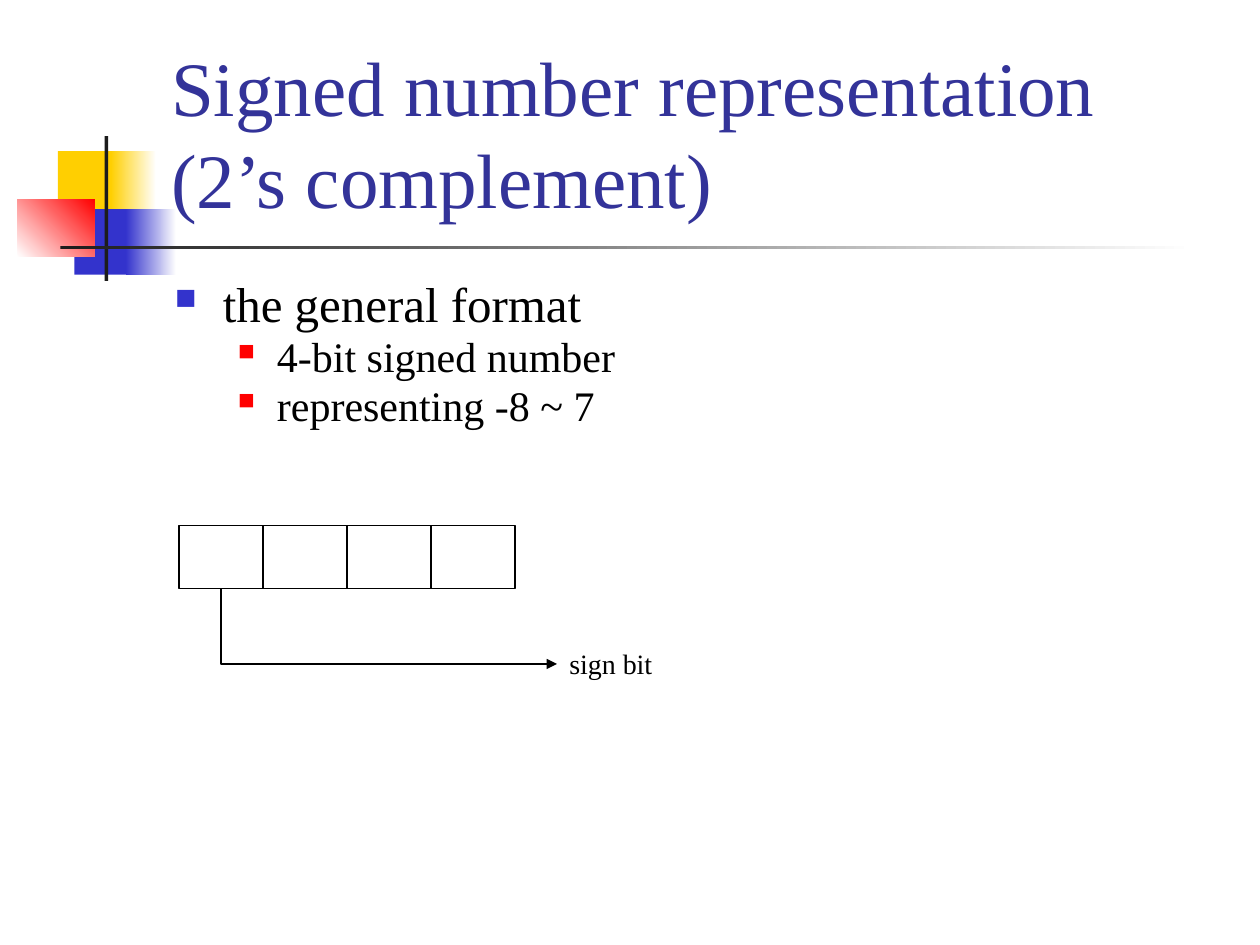
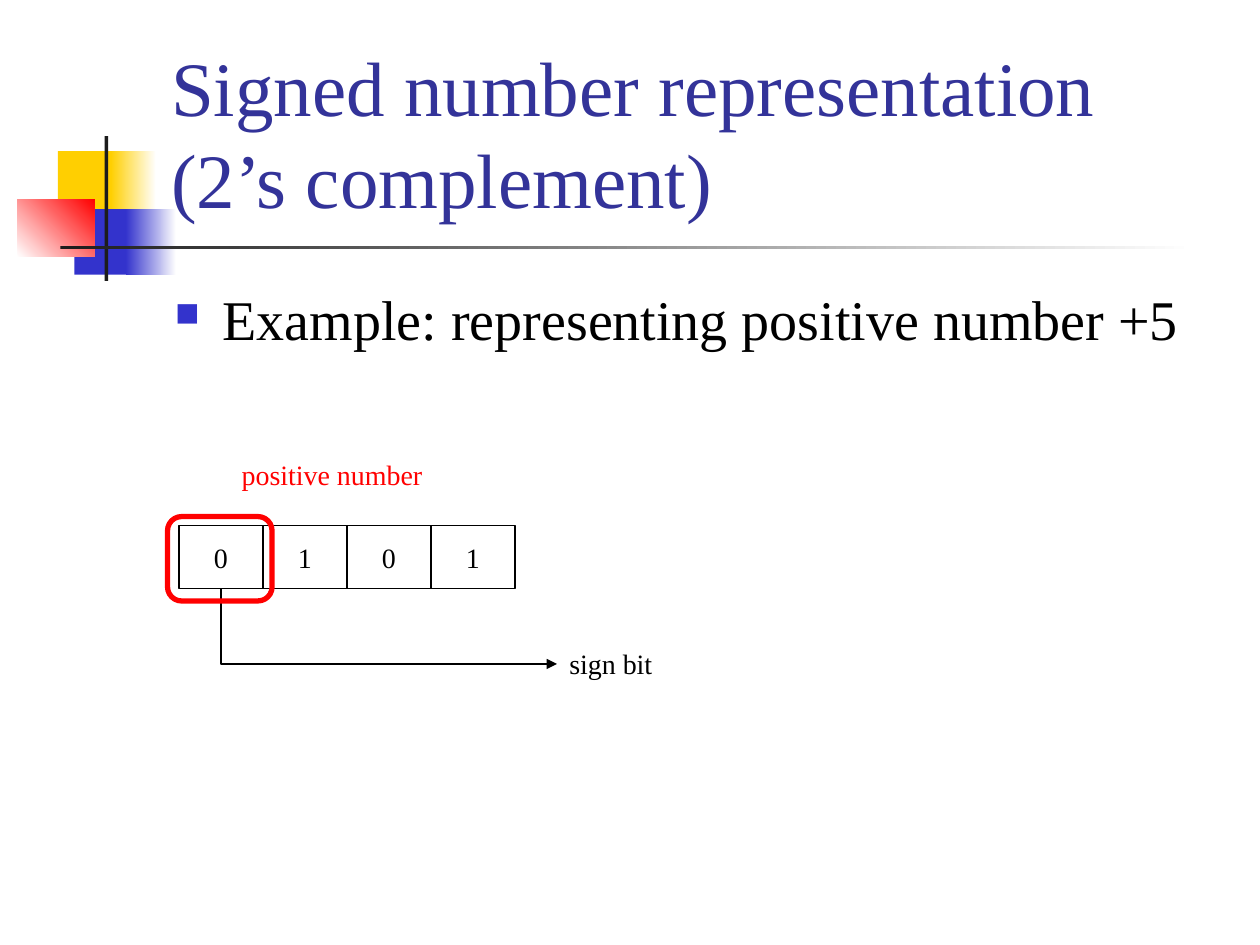
"""Builds two slides on signed numbers in two's complement."""
import pptx
import pptx.util
import pptx.dml.color
import pptx.enum.shapes
import pptx.enum.text
import pptx.oxml.ns
import lxml.etree

Inches, Pt = pptx.util.Inches, pptx.util.Pt
KIND = pptx.enum.shapes.MSO_SHAPE
ANCHOR = pptx.enum.text.MSO_ANCHOR
ALIGN = pptx.enum.text.PP_ALIGN
qn = pptx.oxml.ns.qn

FONT = "Times New Roman"
HUES = {
    "title": "333399", "blue": "3333CC", "gold": "FFCF01", "red": "FF0000",
    "dark": "1C1C1C", "black": "000000", "white": "FFFFFF",
}
TITLE = "Signed number representation (2\u2019s complement)"
SLIDES = [
    {
        "body": [(0, 28, "the general format"),
                 (1, 24, "4-bit signed number"),
                 (1, 24, "representing -8 ~ 7")],
        "lead": 0.8, "bits": [""] * 4, "note": None,
    },
    {
        "body": [(0, 32, "Example: representing positive number +5")],
        "lead": 1.0, "bits": list("0101"), "note": "positive number",
    },
]
DECOR = [
    ((0.46, 1.2, 0.48, 0.52), ["gold"], 0),
    ((0.88, 1.2, 0.36, 0.52), ["gold", "white"], 0),
    ((0.59, 1.66, 0.46, 0.52), ["blue"], 0),
    ((1, 1.66, 0.4, 0.52), ["blue", "white"], 0),
    ((0.14, 1.58, 0.61, 0.46), ["white", "red"], 45),
    ((0.83, 1.08, 0.03, 1.15), ["dark"], 0),
    ((0.48, 1.95, 9, 0.03), ["dark", "white"], 0),
]
LEVELS = [
    {"left": 0.38, "hang": 0.38, "hue": "blue", "size": 60},
    {"left": 0.81, "hang": 0.31, "hue": "red", "size": 55},
]
LEFT, TOP, WIDE, HIGH = 1.42, 4.17, 2 / 3, 0.5
TIP, DROP = 4.42, 0.6


def color(name):
    return pptx.dml.color.RGBColor.from_string(HUES[name])


def place(box):
    return [Inches(n) for n in box]


def write(para, text, size, hue="black"):
    run = para.add_run()
    run.text = text
    run.font.size = Pt(size)
    run.font.name = FONT
    run.font.color.rgb = color(hue)


def add_box(slide, box, wrap=True):
    frame = slide.shapes.add_textbox(*place(box)).text_frame
    frame.word_wrap = wrap
    return frame


def add_label(slide, box, text, hue="black"):
    frame = add_box(slide, box, False)
    frame.auto_size = pptx.enum.text.MSO_AUTO_SIZE.SHAPE_TO_FIT_TEXT
    write(frame.paragraphs[0], text, 16, hue)


def add_form(slide, kind, box, hue=None, width=0.75):
    form = slide.shapes.add_shape(kind, *place(box))
    form.shadow.inherit = False
    form.fill.background()
    if hue:
        form.line.color.rgb = color(hue)
        form.line.width = Pt(width)
    else:
        form.line.fill.background()
    return form


def add_decor(slide):
    for box, hues, angle in DECOR:
        fill = add_form(slide, KIND.RECTANGLE, box).fill
        if len(hues) == 1:
            fill.solid()
            fill.fore_color.rgb = color(hues[0])
            continue
        fill.gradient()
        fill.gradient_angle = angle
        for spot, (stop, hue) in enumerate(zip(fill.gradient_stops, hues)):
            stop.position = spot
            stop.color.rgb = color(hue)


def add_title(slide):
    frame = add_box(slide, (1.26, 0.23, 8.52, 1.6))
    frame.vertical_anchor = ANCHOR.BOTTOM
    write(frame.paragraphs[0], TITLE, 44, "title")


def add_bullet(para, level):
    props = para._p.get_or_add_pPr()
    props.set("marL", str(Inches(level["left"])))
    props.set("indent", str(-Inches(level["hang"])))
    tint = lxml.etree.SubElement(props, qn("a:buClr"))
    lxml.etree.SubElement(tint, qn("a:srgbClr"), val=HUES[level["hue"]])
    lxml.etree.SubElement(props, qn("a:buSzPct"), val=str(level["size"] * 1000))
    lxml.etree.SubElement(props, qn("a:buChar"), char="\u25a0")


def add_body(slide, lines, lead):
    frame = add_box(slide, (1.29, 2.21, 8.5, 1.38))
    for spot, (depth, size, text) in enumerate(lines):
        para = frame.add_paragraph() if spot else frame.paragraphs[0]
        para.level = depth
        para.line_spacing = lead
        para.space_before = Pt(size * 0.2)
        add_bullet(para, LEVELS[depth])
        write(para, text, size)


def add_bits(slide, bits):
    for spot, bit in enumerate(bits):
        box = (LEFT + spot * WIDE, TOP, WIDE, HIGH)
        frame = add_form(slide, KIND.RECTANGLE, box, "black").text_frame
        if bit:
            frame.word_wrap = False
            frame.vertical_anchor = ANCHOR.MIDDLE
            para = frame.paragraphs[0]
            para.alignment = ALIGN.CENTER
            write(para, bit, 16)


def add_arrow(slide):
    start, base = LEFT + WIDE / 2, TOP + HIGH
    mid, half = (start + TIP) / 2, (TIP - start) / 2
    level = base + DROP / 2
    ends = (mid + DROP / 2, level - half, mid - DROP / 2, level + half)
    arrow = slide.shapes.add_connector(
        pptx.enum.shapes.MSO_CONNECTOR.ELBOW, *place(ends))
    arrow.line.color.rgb = color("black")
    arrow.line.width = Pt(0.75)
    props = arrow._element.spPr
    props.find(qn("a:xfrm")).set("rot", str(270 * 60000))
    props.find(qn("a:prstGeom")).set("prst", "bentConnector2")
    lxml.etree.SubElement(props.find(qn("a:ln")), qn("a:tailEnd"), type="triangle")
    lxml.etree.SubElement(props, qn("a:effectLst"))


def add_note(slide, text):
    ring = add_form(slide, KIND.ROUNDED_RECTANGLE, (1.33, 4.1, 0.83, 0.67), "red", 3)
    ring.adjustments[0] = 0.167
    add_label(slide, (1.82, 3.58, 1.64, 0.37), text, "red")


def main():
    deck = pptx.Presentation()
    deck.slide_width, deck.slide_height = Inches(10), Inches(7.5)
    for data in SLIDES:
        slide = deck.slides.add_slide(deck.slide_layouts[6])
        add_decor(slide)
        add_title(slide)
        add_body(slide, data["body"], data["lead"])
        add_bits(slide, data["bits"])
        add_label(slide, (TIP, 5.08, 0.86, 0.37), "sign bit")
        add_arrow(slide)
        if data["note"]:
            add_note(slide, data["note"])
    deck.save("out.pptx")


main()
